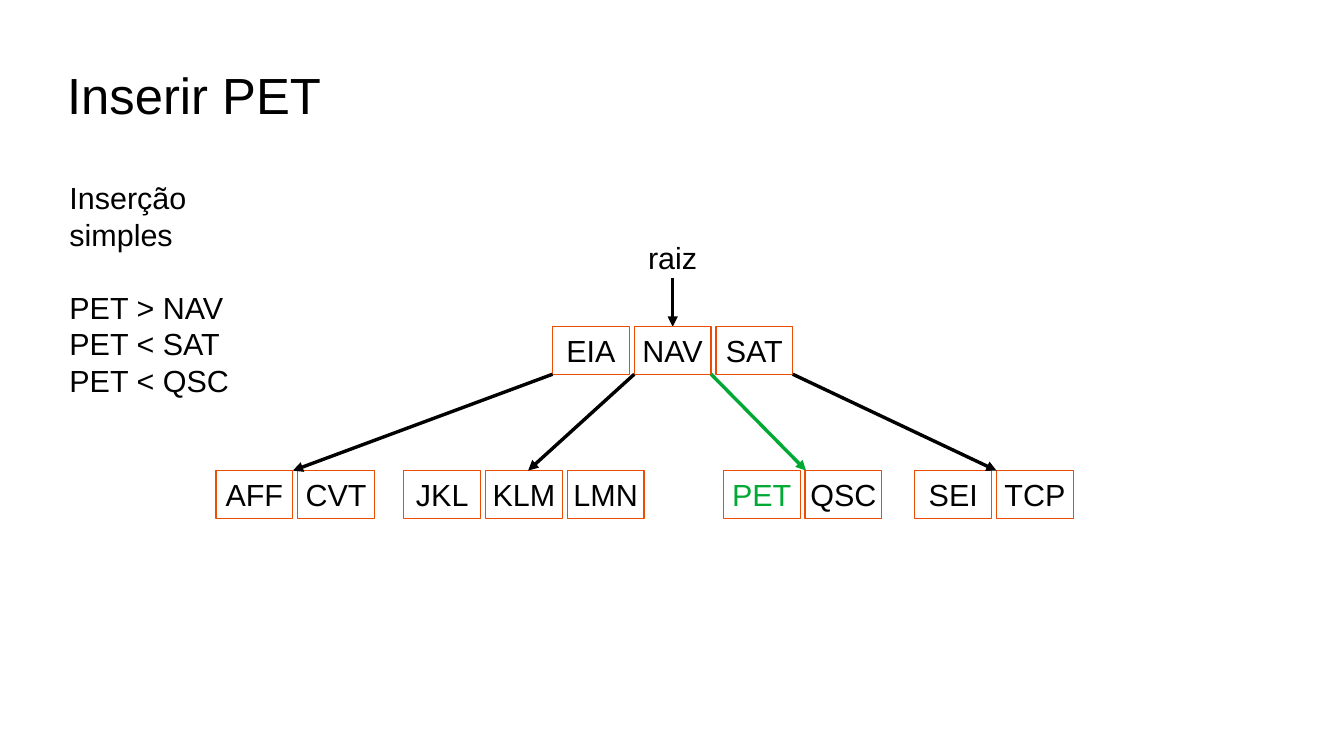
from lxml import etree
from pptx import Presentation
from pptx.dml import color as dml
from pptx.enum import shapes, text
from pptx.oxml import ns
from pptx.util import Pt

BLACK, WHITE, ORANGE, GREEN = "000000", "FFFFFF", "ED4C05", "00A933"
CELL, HIGH, PITCH = 45.4, 28.1, 48.24
DROP = 85
NEW = "PET"


def tint(code):
    return dml.RGBColor.from_string(code)


def put(shape, box):
    shape.left, shape.top, shape.width, shape.height = map(Pt, box)


def frame(shape, anchor, side=7.2, edge=3.6, wrap=False):
    tf = shape.text_frame
    tf.auto_size = text.MSO_AUTO_SIZE.NONE
    tf.word_wrap = wrap
    tf.vertical_anchor = anchor
    tf.margin_left = tf.margin_right = Pt(side)
    tf.margin_top = tf.margin_bottom = Pt(edge)
    return tf


def write(para, words, size=18, code=BLACK, align=text.PP_ALIGN.LEFT):
    para.alignment = align
    run = para.add_run()
    run.text = words
    run.font.name = "Arial"
    run.font.size = Pt(size)
    run.font.color.rgb = tint(code)


def title(slide, box):
    head = slide.shapes.title
    put(head, box)
    tf = frame(head, text.MSO_ANCHOR.MIDDLE, 0, 0, True)
    write(tf.paragraphs[0], "Inserir PET", 30)


def notes(slide, box):
    body = slide.placeholders[1]
    put(body, box)
    tf = frame(body, text.MSO_ANCHOR.TOP)
    lines = ["Inserção simples", "PET > NAV", "PET < SAT", "PET < QSC"]
    for i, line in enumerate(lines):
        para = tf.paragraphs[0] if i == 0 else tf.add_paragraph()
        para.space_before = Pt(21.5 if i == 1 else 0)
        write(para, line)
        props = para._p.get_or_add_pPr()
        props.set("marL", "0")
        props.set("indent", "0")
        etree.SubElement(props, ns.qn("a:buNone"))


def arrow(slide, start, end, code=BLACK):
    line = slide.shapes.add_connector(
        shapes.MSO_CONNECTOR.STRAIGHT, *map(Pt, start + end))
    line.line.color.rgb = tint(code)
    line.line.width = Pt(0)
    tail = etree.SubElement(line.line._get_or_add_ln(), ns.qn("a:tailEnd"))
    tail.set("type", "triangle")
    etree.SubElement(line._element.spPr, ns.qn("a:effectLst"))


def node(slide, left, top, keys):
    for i, key in enumerate(keys):
        cell = slide.shapes.add_shape(
            shapes.MSO_SHAPE.RECTANGLE,
            *map(Pt, (left + i * PITCH, top, CELL, HIGH)))
        cell.shadow.inherit = False
        cell.fill.solid()
        cell.fill.fore_color.rgb = tint(WHITE)
        cell.line.color.rgb = tint(ORANGE)
        cell.line.width = Pt(0)
        tf = frame(cell, text.MSO_ANCHOR.MIDDLE)
        write(tf.paragraphs[0], key, code=GREEN if key == NEW else BLACK,
              align=text.PP_ALIGN.CENTER)


def label(slide, box):
    name = slide.shapes.add_textbox(*map(Pt, box))
    tf = frame(name, text.MSO_ANCHOR.TOP)
    write(tf.paragraphs[0], "raiz", align=text.PP_ALIGN.CENTER)


def tree(slide, box):
    left, top, wide, high = box
    root = left + 198.7
    mid = root + PITCH + CELL / 2
    rise = top + 55.4
    base = rise + HIGH
    floor = rise + DROP
    label(slide, (mid - 21.6, top, 43.2, 27.4))
    arrow(slide, (mid, top + 26.6), (mid, rise))
    node(slide, root, rise, ["EIA", "NAV", "SAT"])
    leaves = [
        (0, 45.4, 0, ["AFF", "CVT"]),
        (110.9, 73.4, PITCH, ["JKL", "KLM", "LMN"]),
        (299.5, 48.9, PITCH + CELL, [NEW, "QSC"]),
        (412.6, PITCH, 2 * PITCH + CELL, ["SEI", "TCP"]),
    ]
    for shift, tip, port, keys in leaves:
        spot = left + shift
        node(slide, spot, floor, keys)
        arrow(slide, (root + port, base), (spot + tip, floor),
              GREEN if NEW in keys else BLACK)


def main():
    deck = Presentation()
    deck.slide_width, deck.slide_height = Pt(793.44), Pt(446.4)
    slide = deck.slides.add_slide(deck.slide_layouts[1])
    title(slide, (39.6, 18, 714.2, 74.9))
    notes(slide, (33.8, 102.2, 149, 108))
    tree(slide, (127.5, 137.5, 506.3, 168.5))
    deck.save("out.pptx")


if __name__ == "__main__":
    main()
